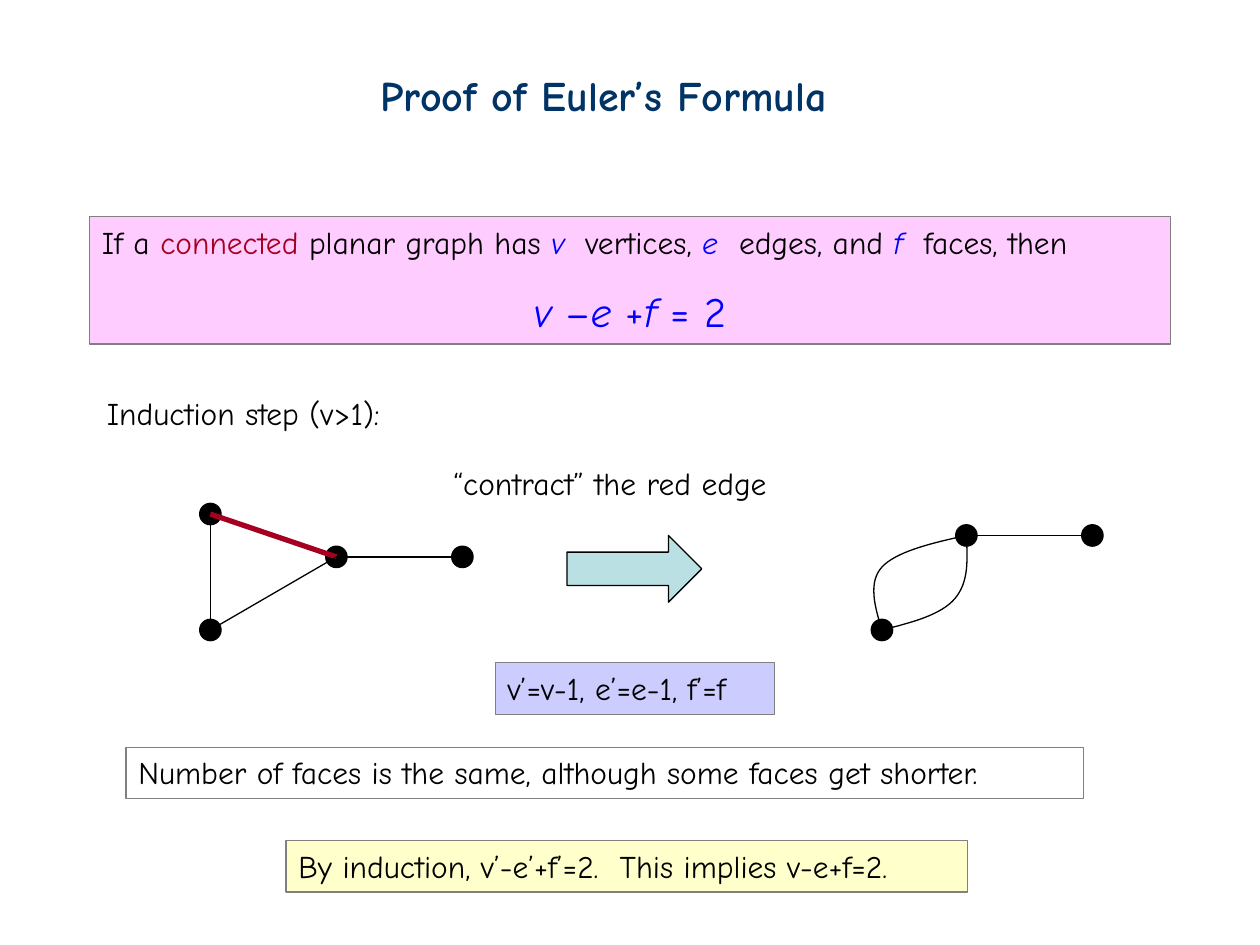
"""Build a slide on the induction step in the proof of Euler's formula."""
from lxml import etree
from pptx import Presentation
from pptx.dml.color import RGBColor
from pptx.enum.shapes import MSO_CONNECTOR, MSO_SHAPE
from pptx.enum.text import MSO_ANCHOR, MSO_AUTO_SIZE, PP_ALIGN
from pptx.oxml.ns import qn
from pptx.util import Inches, Pt

RECT, OVAL, ARROW = MSO_SHAPE.RECTANGLE, MSO_SHAPE.OVAL, MSO_SHAPE.RIGHT_ARROW
STRAIGHT = MSO_CONNECTOR.STRAIGHT
LEFT, CENTER, TOP = PP_ALIGN.LEFT, PP_ALIGN.CENTER, MSO_ANCHOR.TOP
FIXED = MSO_AUTO_SIZE.NONE
BLACK, GRAY, RED, BLUE, NAVY = "000000", "808080", "A50021", "0000FF", "003366"
rgb = RGBColor.from_string


def write(shape, text, color=BLACK, size=18, bold=False, italic=False, align=LEFT, new=False):
    frame = shape.text_frame
    frame.word_wrap = True
    frame.auto_size = FIXED
    frame.vertical_anchor = TOP
    para = frame.add_paragraph() if new else frame.paragraphs[-1]
    para.alignment = align
    run = para.add_run()
    run.text = text
    font = run.font
    font.name, font.size, font.bold, font.italic = "Comic Neue", Pt(size), bold, italic
    font.color.rgb = rgb(color)
    return para


def paint(shape, fill=None, line=BLACK):
    shape.shadow.inherit = False
    if fill:
        shape.fill.solid()
        shape.fill.fore_color.rgb = rgb(fill)
    else:
        shape.fill.background()
    shape.line.color.rgb = rgb(line)
    shape.line.width = Pt(0.75)


deck = Presentation()
deck.slide_width, deck.slide_height = Inches(10), Inches(7.5)
slide = deck.slides.add_slide(deck.slide_layouts[5])
shapes = slide.shapes

title = shapes.title
title.left, title.top = Inches(2.92), Inches(0.5)
title.width, title.height = Inches(4.14), Inches(0.5)
write(title, "Proof of Euler’s Formula", color=NAVY, size=24, bold=True)

labels = [
    ("Induction step (v>1):", 0.75, 3.08, 2.57),
    ("“contract” the red edge", 3.5, 3.63, 2.98),
]
for text, x, y, wide in labels:
    label = shapes.add_textbox(Inches(x), Inches(y), Inches(wide), Inches(0.4))
    write(label, text)

claim = shapes.add_shape(RECT, Inches(0.71), Inches(1.72), Inches(8.58), Inches(1.01))
paint(claim, "FFCCFF", GRAY)
words = [
    ("If a ", BLACK), ("connected", RED), (" planar graph has ", BLACK),
    ("v  ", BLUE), ("vertices, ", BLACK), ("e  ", BLUE),
    ("edges, and ", BLACK), ("f  ", BLUE), ("faces, then", BLACK),
]
for text, color in words:
    write(claim, text, color=color, italic=color == BLUE)
for num, text in enumerate(["v ", "–", "e ", "+", "f", " = 2"]):
    para = write(claim, text, color=BLUE, size=24, italic=num % 2 == 0,
                 align=CENTER, new=num == 0)
para.line_spacing = 1.5

dots = [(1.67, 4.08), (2.67, 4.42), (1.67, 5), (3.67, 4.42),
        (7, 5), (7.67, 4.25), (8.67, 4.25)]
size = 0.17
for x, y in dots:
    dot = shapes.add_shape(OVAL, Inches(x - size / 2), Inches(y - size / 2),
                           Inches(size), Inches(size))
    paint(dot, BLACK)

top, hub, low, end, base, joint, tip = dots
edges = [(top, low, BLACK, 0.75), (top, hub, RED, 3), (low, hub, BLACK, 0.75),
         (hub, end, BLACK, 0.75), (joint, tip, BLACK, 0.75)]
for start, stop, color, width in edges:
    edge = shapes.add_connector(STRAIGHT, *[Inches(n) for n in start + stop])
    edge.line.color.rgb = rgb(color)
    edge.line.width = Pt(width)
    etree.SubElement(edge._element.spPr, qn("a:effectLst"))

curves = [
    [joint, (7.39, 4.31), (7.11, 4.38), (7, 4.5), (6.89, 4.62), (6.94, 4.81), base],
    [joint, (7.68, 4.44), (7.69, 4.62), (7.58, 4.75), (7.47, 4.88), (7.24, 4.94), base],
]
steps = 16
for curve in curves:
    points = []
    for first in (0, 3):
        for step in range(1, steps + 1):
            t = step / steps
            parts = ((1 - t) ** 3, 3 * t * (1 - t) ** 2, 3 * t * t * (1 - t), t ** 3)
            points.append([Inches(sum(w * p[axis] for w, p in zip(parts, curve[first:first + 4])))
                           for axis in (0, 1)])
    path = shapes.build_freeform(Inches(joint[0]), Inches(joint[1]))
    path.add_line_segments(points, close=False)
    paint(path.convert_to_shape())

arrow = shapes.add_shape(ARROW, Inches(4.5), Inches(4.25), Inches(1.07), Inches(0.53))
paint(arrow, "BBE0E3")

notes = [
    ("v’=v-1, e’=e-1, f’=f", 3.93, 5.26, 2.22, "CCCCFF"),
    ("Number of faces is the same, although some faces get shorter.", 1, 5.93, 7.6, None),
    ("By induction, v’-e’+f’=2.  This implies v-e+f=2.", 2.27, 6.67, 5.41, "FFFFCC"),
]
for text, x, y, wide, fill in notes:
    note = shapes.add_shape(RECT, Inches(x), Inches(y), Inches(wide), Inches(0.41))
    paint(note, fill, GRAY)
    write(note, text)

deck.save("out.pptx")
